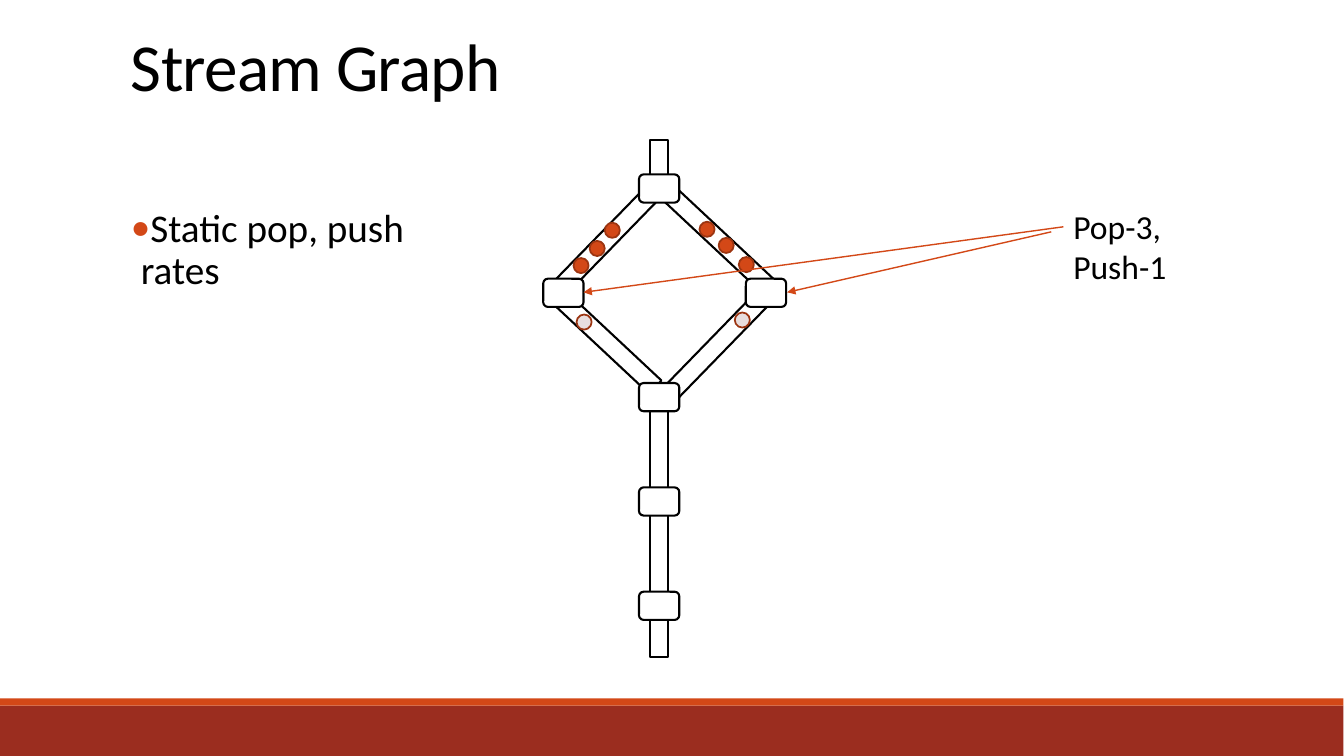
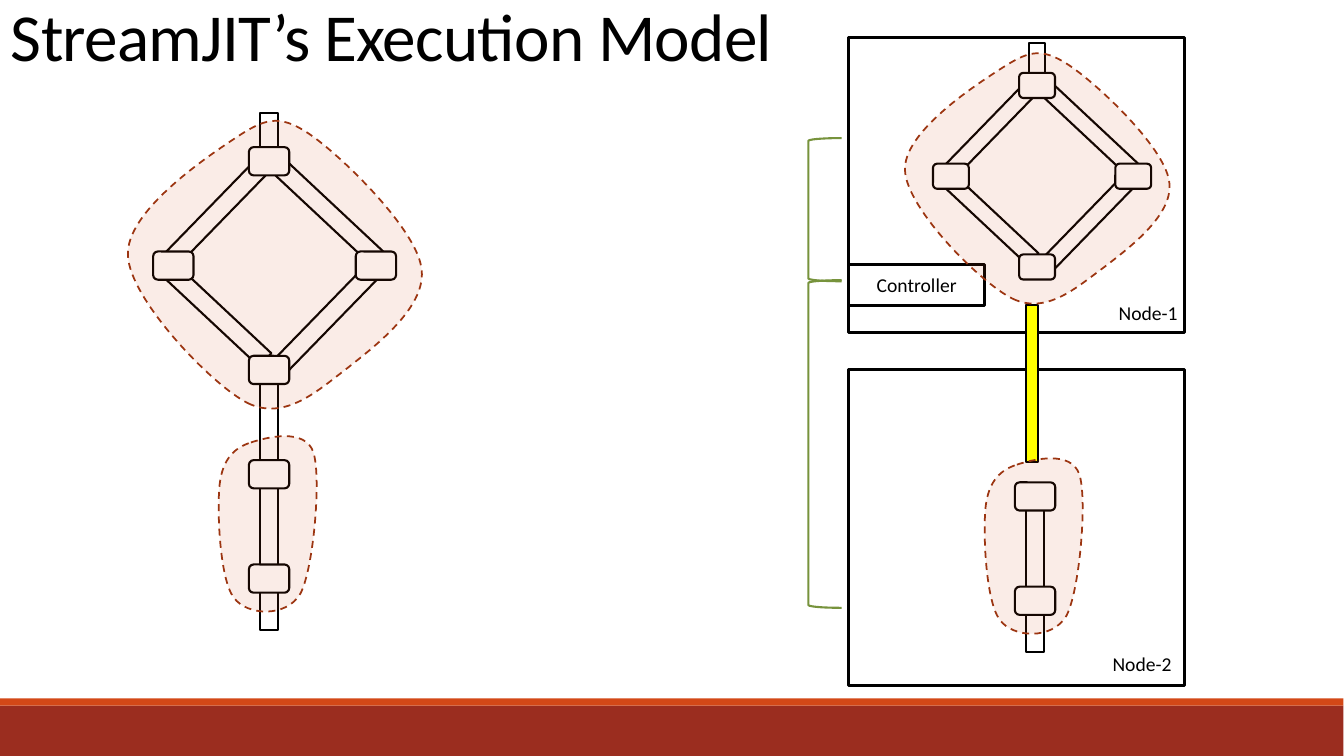
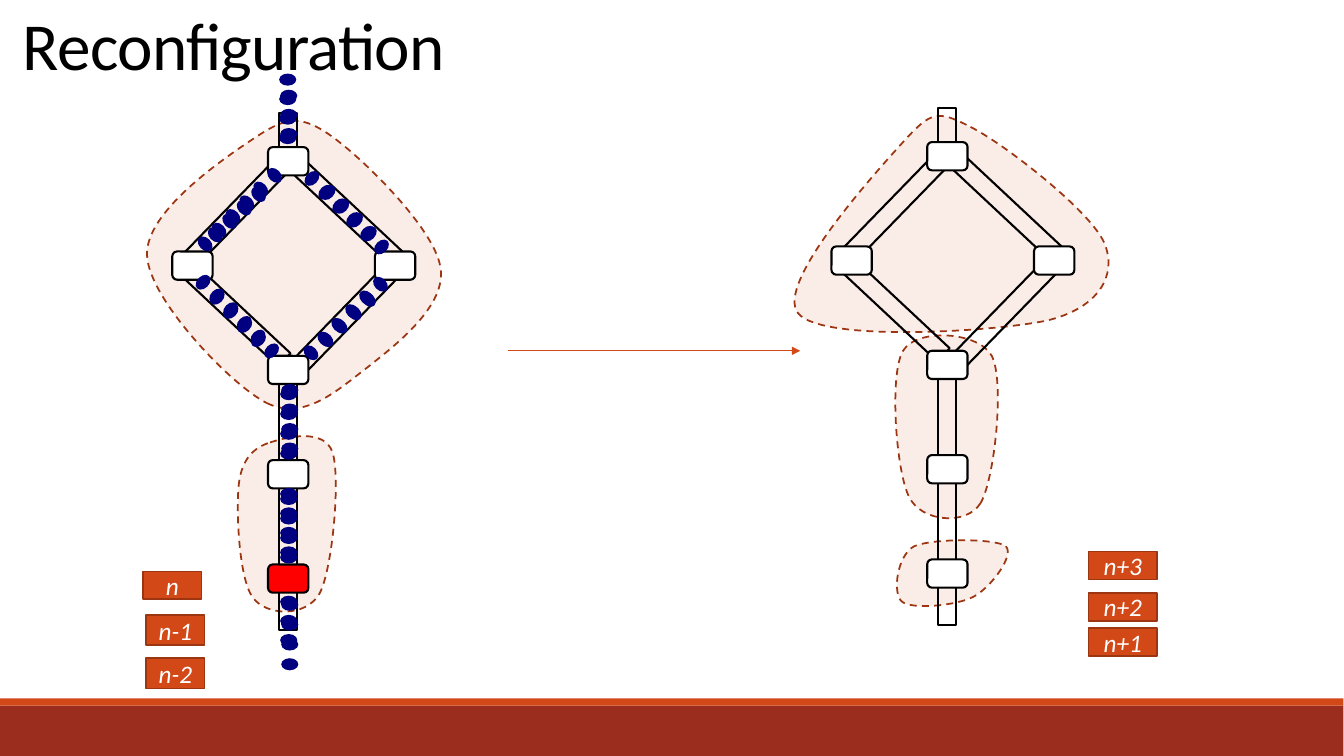
from pptx import Presentation
from pptx.dml.color import RGBColor
from pptx.enum.dml import MSO_LINE
from pptx.enum.shapes import MSO_CONNECTOR, MSO_SHAPE
from pptx.enum.text import MSO_ANCHOR, PP_ALIGN
from pptx.oxml.ns import qn
from pptx.util import Cm, Pt
from lxml import etree

FONT = "Calibri"
BLACK = RGBColor(0x00, 0x00, 0x00)
WHITE = RGBColor(0xFF, 0xFF, 0xFF)
ORANGE = RGBColor(0xD3, 0x48, 0x17)
RUST = RGBColor(0x9C, 0x35, 0x11)
BRICK = RGBColor(0x9B, 0x2D, 0x1F)
GREEN = RGBColor(0x77, 0x93, 0x3C)
YELLOW = RGBColor(0xFF, 0xFF, 0x00)
RED = RGBColor(0xFF, 0x00, 0x00)
NAVY = RGBColor(0x00, 0x00, 0x80)
PALE = RGBColor(0xE8, 0xDE, 0xDE)

CM_PER_INCH = 2.54
CURVE_STEPS = 12
PIPE_WIDTH = 0.18
NODE_WIDTH, NODE_HEIGHT = 0.4, 0.28
FIRST_ROW, LAST_ROW = 0.48, 4.62
ROW_STEP = (LAST_ROW - FIRST_ROW) / 4
NODES = [(x, FIRST_ROW + row * ROW_STEP) for x, row in
         [(0, 0), (-0.95, 1), (1.06, 1), (0, 2), (0, 3), (0, 4)]]
SLANTED_PIPES = [(0.59, 0.99, 1.32, 313.1), (-0.52, 2.0, 1.32, 313.1),
                 (-0.5, 0.97, 1.32, 44.2), (0.55, 2.06, 1.32, 44.2)]
UPRIGHT_PIPES = [(0, top + length / 2, length, 0) for top, length in
                 [(0, 0.35), (2.61, 0.99), (3.66, 0.85), (4.71, 0.42)]]
PIPES = SLANTED_PIPES + UPRIGHT_PIPES

DIAMOND_REGION = [
    (-0.21, 2.88), (0.16, 3.06), (0.49, 2.75), (0.78, 2.53),
    (1.07, 2.3), (1.58, 1.91), (1.51, 1.53), (1.45, 1.14), (0.71, 0.42), (0.4, 0.21),
    (0.09, 0), (-0.05, 0.06), (-0.35, 0.26), (-0.65, 0.46), (-1.43, 0.99), (-1.4, 1.42),
    (-1.38, 1.85), (-0.57, 2.7), (-0.21, 2.88)]
TAIL_REGION = [
    (-0.18, 3.27), (-0.03, 3.22), (0.36, 3.12), (0.44, 3.37),
    (0.52, 3.62), (0.44, 4.53), (0.31, 4.77), (0.17, 5.01), (-0.22, 4.99), (-0.35, 4.81),
    (-0.49, 4.63), (-0.52, 3.94), (-0.49, 3.68), (-0.46, 3.43), (-0.34, 3.32), (-0.18, 3.27)]
SPLIT_REGION = [
    (0.23, 0.19), (0.57, 0.36), (1.44, 1.04), (1.56, 1.35),
    (1.69, 1.67), (1.49, 1.99), (0.99, 2.11), (0.48, 2.22), (-1.24, 2.33), (-1.48, 2.04),
    (-1.72, 1.75), (-0.72, 0.65), (-0.44, 0.34), (-0.16, 0.03), (-0.1, 0.02), (0.23, 0.19)]
JOIN_REGION = [
    (0.33, 3.92), (0.19, 4.15), (-0.26, 4.11), (-0.38, 3.86),
    (-0.51, 3.61), (-0.58, 2.64), (-0.44, 2.41), (-0.3, 2.18), (0.31, 2.22), (0.44, 2.46),
    (0.57, 2.71), (0.47, 3.68), (0.33, 3.92)]
SINK_REGION = [
    (0.58, 4.35), (0.67, 4.44), (0.43, 4.76), (0.26, 4.85),
    (0.09, 4.94), (-0.35, 4.98), (-0.45, 4.9), (-0.55, 4.82), (-0.5, 4.44), (-0.33, 4.35),
    (-0.15, 4.27), (0.48, 4.27), (0.58, 4.35)]

BEAD_RUNS = [
    ((3.01, 1.71), (3.7, 2.39), 6, 314.9), ((3.69, 2.76), (3, 3.44), 6, 45.6),
    ((2.78, 3.85), (2.78, 4.44), 4, 0), ((2.78, 5.91), (2.78, 6.29), 3, 0),
    ((2.78, 4.84), (2.78, 5.42), 4, 0), ((2.78, 0.89), (2.78, 1.27), 3, 0),
    ((1.93, 2.74), (2.61, 3.42), 6, 314.9), ((2.64, 1.68), (1.95, 2.36), 6, 45.6),
    ((2.77, 0.73), (2.77, 1.31), 4, 0), ((3.57, 2.91), (3.15, 3.31), 4, 47.4),
    ((3.17, 1.85), (3.58, 2.26), 4, 314.3), ((2.48, 1.87), (2.05, 2.27), 4, 47.4),
    ((2.07, 2.89), (2.48, 3.31), 4, 315.6), ((2.79, 3.81), (2.79, 4.39), 4, 0),
    ((2.78, 4.89), (2.78, 5.47), 4, 0), ((2.79, 5.94), (2.79, 6.53), 4, 0)]


def span(inches):
    return Cm(inches * CM_PER_INCH)


def paint(shape, fill=None, line=None, weight=1.5):
    shape.shadow.inherit = False
    if fill is None:
        shape.fill.background()
    else:
        shape.fill.solid()
        shape.fill.fore_color.rgb = fill
    if line is None:
        shape.line.fill.background()
    else:
        shape.line.color.rgb = line
        shape.line.width = Pt(weight)


def add_box(slide, kind, x, y, w, h, fill=None, line=None, weight=1.5, rotation=0):
    shape = slide.shapes.add_shape(kind, span(x), span(y), span(w), span(h))
    shape.rotation = rotation
    paint(shape, fill, line, weight)
    return shape


def write(frame, text, size, color=BLACK, italic=False):
    paragraph = frame.paragraphs[0]
    run = paragraph.add_run()
    run.text = text
    run.font.name = FONT
    run.font.size = Pt(size)
    run.font.color.rgb = color
    run.font.italic = italic
    return paragraph, run


def add_text(slide, text, size, x, y, w, h, wrap=True):
    frame = slide.shapes.add_textbox(span(x), span(y), span(w), span(h)).text_frame
    frame.word_wrap = wrap
    return write(frame, text, size)


def add_title(slide, text, x, y, w, h):
    paragraph, run = add_text(slide, text, 48, x, y, w, h)
    paragraph.line_spacing = 0.85
    run.font._element.set("spc", "-50")


def add_bullet(slide, text, x, y, w, h):
    paragraph = add_text(slide, text, 28, x, y, w, h)[0]
    paragraph.line_spacing = 0.9
    paragraph.space_before = Pt(12)
    paragraph.space_after = Pt(2)
    properties = paragraph._p.get_or_add_pPr()
    properties.set("marL", str(span(0.1)))
    properties.set("indent", str(-span(0.1)))
    color = etree.SubElement(properties, qn("a:buClr"))
    etree.SubElement(color, qn("a:srgbClr"), val=str(ORANGE))
    etree.SubElement(properties, qn("a:buFont"), typeface=FONT)
    etree.SubElement(properties, qn("a:buChar"), char="•")


def add_label(shape, text, size, color, italic=False):
    frame = shape.text_frame
    frame.word_wrap = False
    frame.vertical_anchor = MSO_ANCHOR.MIDDLE
    write(frame, text, size, color, italic)[0].alignment = PP_ALIGN.CENTER


def add_arrow(slide, start, end):
    arrow = slide.shapes.add_connector(
        MSO_CONNECTOR.STRAIGHT, *[span(value) for value in start + end])
    arrow.line.color.rgb = ORANGE
    arrow.line.width = Pt(1)
    properties = arrow.element.spPr
    etree.SubElement(properties.find(qn("a:ln")), qn("a:tailEnd"), type="triangle")
    etree.SubElement(properties, qn("a:effectLst"))


def add_graph(slide, center, top, pipes=PIPES, nodes=NODES, scale=(1, 1), size=1):
    across, down = scale

    def add_part(kind, x, y, w, h, fill=None, rotation=0):
        w, h = w * size, h * size
        return add_box(slide, kind, center + x * across - w / 2, top + y * down - h / 2,
                       w, h, fill, BLACK, rotation=rotation)

    for x, y, length, rotation in pipes:
        add_part(MSO_SHAPE.RECTANGLE, x, y, PIPE_WIDTH, length, rotation=rotation)
    return [add_part(MSO_SHAPE.ROUNDED_RECTANGLE, x, y, NODE_WIDTH, NODE_HEIGHT, WHITE)
            for x, y in nodes]


def curve_points(controls):
    points = [controls[0]]
    for first in range(0, len(controls) - 1, 3):
        corners = controls[first:first + 4]
        for step in range(1, CURVE_STEPS + 1):
            t = step / CURVE_STEPS
            weights = [(1 - t) ** 3, 3 * t * (1 - t) ** 2, 3 * t ** 2 * (1 - t), t ** 3]
            points.append(tuple(sum(weight * corner[axis]
                                    for weight, corner in zip(weights, corners))
                                for axis in (0, 1)))
    return points


def set_curves(shape, controls):
    path = next(shape.element.spPr.iter(qn("a:path")))
    for segment in list(path):
        path.remove(segment)

    def add_segment(tag, points):
        segment = etree.SubElement(path, qn(tag))
        for x, y in points:
            etree.SubElement(segment, qn("a:pt"),
                             x=str(int(x - shape.left)), y=str(int(y - shape.top)))

    add_segment("a:moveTo", controls[:1])
    for first in range(1, len(controls), 3):
        add_segment("a:cubicBezTo", controls[first:first + 3])
    add_segment("a:close", [])


def add_region(slide, outline, center, top, scale=(1, 1)):
    controls = [(span(center + x * scale[0]), span(top + y * scale[1])) for x, y in outline]
    points = curve_points(controls)
    builder = slide.shapes.build_freeform(*points[0])
    builder.add_line_segments(points[1:])
    region = builder.convert_to_shape()
    set_curves(region, controls)
    paint(region, ORANGE, RUST, 1.25)
    region.line.dash_style = MSO_LINE.DASH
    tint = region.element.spPr.find(qn("a:solidFill")).find(qn("a:srgbClr"))
    etree.SubElement(tint, qn("a:alpha"), val="10000")


def add_beads(slide, start, end, count, rotation):
    for i in range(count):
        x, y = [a + (b - a) * i / (count - 1) for a, b in zip(start, end)]
        add_box(slide, MSO_SHAPE.OVAL, x, y, 0.17, 0.12, NAVY, rotation=rotation)


def add_tokens(slide, fill, corners):
    for x, y in corners:
        add_box(slide, MSO_SHAPE.OVAL, x, y, 0.15, 0.15, fill, RUST, 1.25)


def add_bands(layout, slide):
    for placeholder in list(layout.placeholders):
        layout.shapes.element.remove(placeholder.element)
    for y, height, color in [(7, 0.5, BRICK), (6.93, 0.07, ORANGE)]:
        band = add_box(slide, MSO_SHAPE.RECTANGLE, 0, y, 13.33, height, color)
        layout.shapes.element.append(band.element)


def build_stream_graph(slide):
    add_graph(slide, 6.54, 1.39)
    add_tokens(slide, PALE, [(7.29, 3.1), (5.72, 3.12)])
    add_tokens(slide, ORANGE, [(7.33, 2.55), (7.13, 2.36), (6.94, 2.2),
                               (5.69, 2.56), (5.85, 2.39), (6, 2.21)])
    add_title(slide, "Stream Graph", 1.2, 0.31, 7.88, 0.78)
    add_bullet(slide, "Static pop, push rates", 1.2, 2.02, 3.34, 3.47)
    add_text(slide, "Pop-3, Push-1", 24, 10.55, 1.99, 2.02, 0.5)
    add_arrow(slide, (10.55, 2.25), (5.79, 2.9))
    add_arrow(slide, (10.43, 2.3), (7.81, 2.9))


def build_execution_model(slide):
    add_title(slide, "StreamJIT’s Execution Model", 0.01, 0.02, 8.15, 0.82)
    for y, height in [(2.78, 3.25), (1.37, 1.42)]:
        add_box(slide, MSO_SHAPE.LEFT_BRACKET, 8.02, y, 0.33, height, line=GREEN)
    controller = add_box(slide, MSO_SHAPE.RECTANGLE, 8.42, 2.62, 1.35, 0.41,
                         line=BLACK, weight=2)
    add_label(controller, "Controller", 14, BLACK)
    for name, y, height, label_x, label_y in [("Node-1", 0.37, 2.93, 11, 2.94),
                                              ("Node-2", 3.67, 3.13, 10.94, 6.42)]:
        add_box(slide, MSO_SHAPE.RECTANGLE, 8.42, y, 3.33, height, line=BLACK, weight=2)
        add_text(slide, name, 14, label_x, label_y, 0.82, 0.34, wrap=False)

    add_graph(slide, 2.67, 1.12)
    add_region(slide, DIAMOND_REGION, 2.67, 1.12)
    add_region(slide, TAIL_REGION, 2.67, 1.12)

    add_box(slide, MSO_SHAPE.RECTANGLE, 10.18, 3.03, 0.12, 1.55, YELLOW, BLACK)
    shrink = (0.9, 0.87)
    add_graph(slide, 10.29, 0.43, PIPES[:5], NODES[:4], shrink, 0.89)
    add_region(slide, DIAMOND_REGION, 10.24, 0.46, shrink)
    add_graph(slide, 10.27, 1.34, PIPES[-2:], NODES[-2:])
    add_region(slide, TAIL_REGION, 10.27, 1.34)


def build_reconfiguration(slide):
    for region in (TAIL_REGION, DIAMOND_REGION):
        add_region(slide, region, 2.86, 1.12)
    for region in (SINK_REGION, JOIN_REGION, SPLIT_REGION):
        add_region(slide, region, 9.4, 1.07)
    add_title(slide, "Reconfiguration", 0.13, 0.11, 4.5, 0.82)

    sink = add_graph(slide, 2.86, 1.12)[-1]
    sink.fill.fore_color.rgb = RED
    for bead_run in BEAD_RUNS:
        add_beads(slide, *bead_run)
    add_graph(slide, 9.4, 1.07)
    add_arrow(slide, (5.04, 3.48), (7.94, 3.48))

    for text, x, y, width, height in [
            ("n-2", 1.45, 6.53, 0.58, 0.3), ("n-1", 1.45, 6.1, 0.58, 0.3),
            ("n", 1.42, 5.67, 0.58, 0.27), ("n+1", 10.8, 6.23, 0.68, 0.28),
            ("n+3", 10.8, 5.47, 0.68, 0.28), ("n+2", 10.8, 5.88, 0.68, 0.28)]:
        iteration = add_box(slide, MSO_SHAPE.RECTANGLE, x, y, width, height,
                            ORANGE, RUST, 1.25)
        add_label(iteration, text, 18, WHITE, italic=True)


def main():
    deck = Presentation()
    deck.slide_width, deck.slide_height = Cm(33.87), Cm(19.05)
    blank = deck.slide_layouts[6]
    builders = [build_stream_graph, build_execution_model, build_reconfiguration]
    slides = [deck.slides.add_slide(blank) for _ in builders]
    add_bands(blank, slides[0])
    for build, slide in zip(builders, slides):
        build(slide)
    deck.save("out.pptx")


main()
